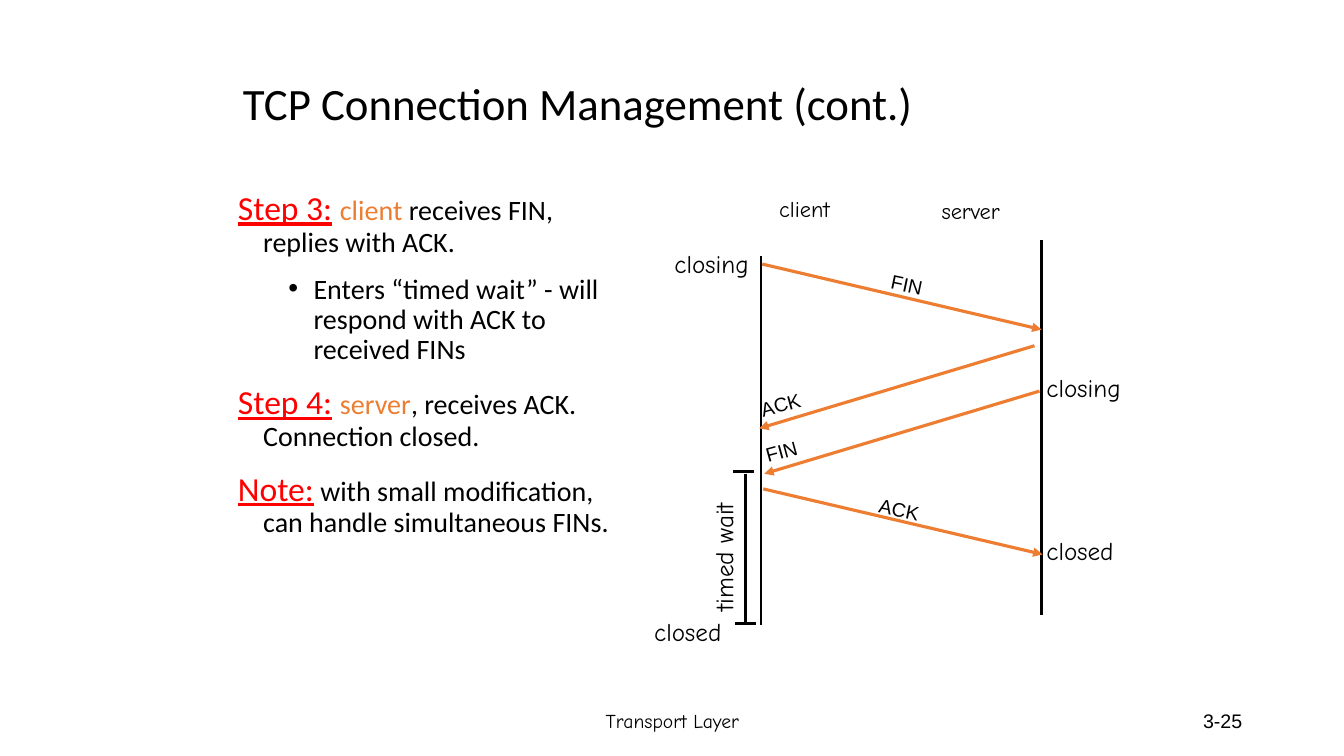
from lxml import etree
from pptx import Presentation
from pptx.dml.color import RGBColor
from pptx.enum import shapes, text
from pptx.oxml import ns
from pptx.util import Inches, Pt

BLACK, RED, ORANGE = "000000", "FF0000", "ED7D31"
HAND, SANS, BODY = "Comic Neue", "Arial", "Calibri"


def paint(color_format, value):
    color_format.rgb = RGBColor.from_string(value)


def add_span(para, words, color=BLACK, **formats):
    span = para.add_run()
    span.text = words
    for name, value in formats.items():
        setattr(span.font, name, value)
    paint(span.font.color, color)


def place(shape, box):
    for name, value in zip(("left", "top", "width", "height"), box):
        setattr(shape, name, Inches(value))


def add_label(page, box, words, size, font=HAND, wrap=False, rotation=0,
              align=text.PP_ALIGN.LEFT, anchor=text.MSO_ANCHOR.TOP):
    label = page.shapes.add_textbox(*map(Inches, box))
    label.rotation = rotation
    label.text_frame.word_wrap = wrap
    label.text_frame.auto_size = text.MSO_AUTO_SIZE.SHAPE_TO_FIT_TEXT
    label.text_frame.vertical_anchor = anchor
    para = label.text_frame.paragraphs[0]
    para.alignment = align
    add_span(para, words, size=Pt(size), name=font)


def add_line(page, start, end, color=BLACK, width=2.25, arrow=False):
    line = page.shapes.add_connector(
        shapes.MSO_CONNECTOR.STRAIGHT, *map(Inches, (*start, *end)))
    paint(line.line.color, color)
    line.line.width = Pt(width)
    if arrow:
        etree.SubElement(line.line._get_or_add_ln(), ns.qn("a:tailEnd"), type="triangle")
    etree.SubElement(line._element.spPr, ns.qn("a:effectLst"))


def add_title(page, box):
    title = page.shapes.title
    place(title, box)
    frame = title.text_frame
    frame.auto_size = text.MSO_AUTO_SIZE.NONE
    frame.vertical_anchor = text.MSO_ANCHOR.MIDDLE
    para = frame.paragraphs[0]
    para.alignment = text.PP_ALIGN.LEFT
    para.line_spacing = 0.9
    add_span(para, "TCP Connection Management (cont.)", size=Pt(32), name=BODY)


def add_steps(page, box):
    # Each paragraph: heading, highlighted word, remaining words
    steps = [
        ("Step 3:", "client", " receives FIN, replies with ACK."),
        ("", "", "Enters “timed wait” - will respond with ACK to received FINs"),
        ("Step 4:", "server", ", receives ACK. Connection closed."),
        ("Note:", "", "with small modification, can handle simultaneous FINs."),
    ]
    body = page.placeholders[1]
    place(body, box)
    frame = body.text_frame
    frame.auto_size = text.MSO_AUTO_SIZE.NONE
    frame.vertical_anchor = text.MSO_ANCHOR.TOP
    for index, (heading, actor, rest) in enumerate(steps):
        para = frame.paragraphs[0] if index == 0 else frame.add_paragraph()
        para.level = 0 if heading else 1
        para.line_spacing = 0.9
        para.space_before = Pt(0 if index == 0 else 14.4 if heading else 12)
        properties = para._p.get_or_add_pPr()
        properties.set("marL", str(Inches(0.25 if heading else 0.75)))
        properties.set("indent", str(Inches(-0.25)))
        if heading:
            etree.SubElement(properties, ns.qn("a:buNone"))
            add_span(para, heading, RED, size=Pt(24), name=BODY, underline=True)
            add_span(para, " ", size=Pt(24 if actor else 20), name=BODY)
        else:
            etree.SubElement(properties, ns.qn("a:buFont"), typeface=SANS)
            etree.SubElement(properties, ns.qn("a:buChar"), char="•")
        if actor:
            add_span(para, actor, ORANGE, size=Pt(20), name=BODY)
        add_span(para, rest, size=Pt(20), name=BODY)


def add_sequence(page, box):
    left, top, width, height = box
    right = left + width

    # Lifelines
    add_line(page, (left, top + 0.16), (left, top + height), width=1.5)
    add_line(page, (right, top), (right, top + height - 0.1), width=1.5)

    # Messages to the server, then to the client
    for words, x, y, label_x, label_width in (
            ("FIN", 0.01, 0.24, 1.19, 0.56), ("ACK", 0.02, 2.47, 1.07, 0.62)):
        add_line(page, (left + x, top + y), (left + x + 2.77, top + y + 0.65),
                 ORANGE, arrow=True)
        add_label(page, (left + label_x, top + y + 0.04, label_width, 0.33),
                  words, 14, SANS, rotation=11.8)
    for words, x, y, label_x in (("ACK", -0.02, 1.05, -0.15), ("FIN", 0.03, 1.5, -0.1)):
        add_line(page, (left + x + 2.73, top + y), (left + x, top + y + 0.82),
                 ORANGE, arrow=True)
        add_label(page, (left + label_x, top + y + 0.1, 2.99, 0.33),
                  words, 14, SANS, wrap=True, rotation=344.6)

    # Names and states beside the lifelines
    for words, x, y, label_width, size in (
            ("client", 0.08, -0.49, 0.78, 16), ("server", 1.69, -0.47, 0.88, 16),
            ("closing", -0.96, 0.03, 0.98, 18), ("closing", 2.73, 1.26, 0.98, 18),
            ("closed", -1.16, 3.69, 0.94, 18), ("closed", 2.73, 2.88, 0.94, 18)):
        add_label(page, (left + x, top + y, label_width, 0.4), words, size)

    # Timed wait bracket
    add_line(page, (left - 0.16, top + 2.32), (left - 0.16, top + 3.79))
    for x, y in ((-0.28, 2.3), (-0.26, 3.81)):
        add_line(page, (left + x, top + y), (left + x + 0.21, top + y))
    add_label(page, (left - 1.09, top + 2.87, 1.43, 0.4), "timed wait", 18, rotation=270)


def add_footer(page, box):
    left, top, width, height = box
    middle = text.MSO_ANCHOR.MIDDLE
    add_label(page, (left, top, 4.5, height), "Transport Layer", 14, wrap=True,
              align=text.PP_ALIGN.CENTER, anchor=middle)
    add_label(page, (left + width - 3, top, 3, height), "3-25", 14, SANS, wrap=True,
              align=text.PP_ALIGN.RIGHT, anchor=middle)


def main():
    deck = Presentation()
    deck.slide_width, deck.slide_height = Inches(13.33), Inches(7.5)
    page = deck.slides.add_slide(deck.slide_layouts[1])
    add_footer(page, (4.42, 6.95, 8, 0.4))
    add_title(page, (2.31, 0.56, 8.5, 0.98))
    add_steps(page, (2.26, 1.85, 4.11, 3.78))
    add_sequence(page, (7.55, 2.38, 2.78, 3.82))
    deck.save("out.pptx")


if __name__ == "__main__":
    main()
